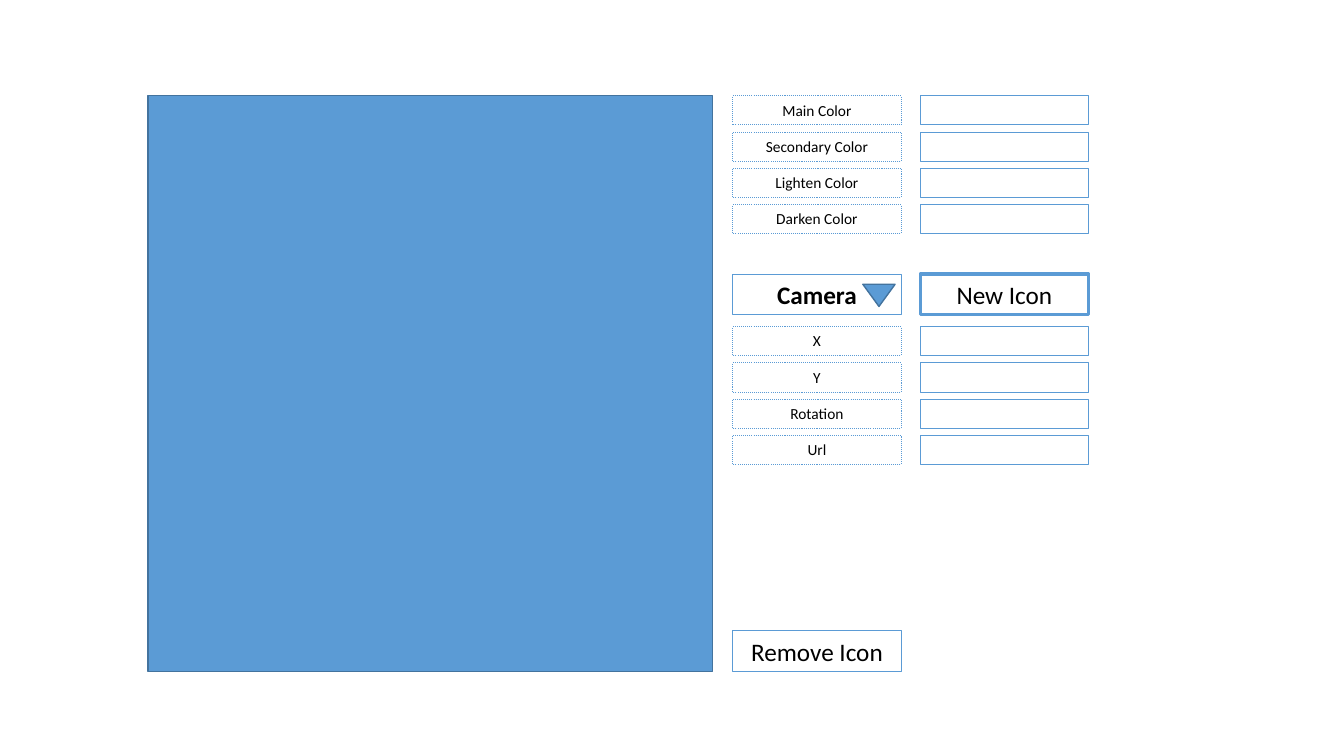
from dataclasses import dataclass

from pptx import Presentation
from pptx.dml.color import RGBColor
from pptx.enum.dml import MSO_LINE
from pptx.enum.shapes import MSO_SHAPE
from pptx.enum.text import MSO_ANCHOR, MSO_AUTO_SIZE, PP_ALIGN
from pptx.shapes.autoshape import Shape
from pptx.slide import Slide
from pptx.util import Pt


@dataclass(frozen=True)
class Theme:
    blue: RGBColor = RGBColor(0x5B, 0x9B, 0xD5)
    edge: RGBColor = RGBColor(0x43, 0x73, 0x9E)
    ink: RGBColor = RGBColor(0, 0, 0)
    font: str = "Calibri"
    small: float = 11
    large: float = 18


@dataclass(frozen=True)
class Box:
    left: float
    top: float
    width: float
    height: float
    text: str = ""
    size: float = 11
    bold: bool = False
    line: float = 0.75
    dotted: bool = False


THEME = Theme()
LABEL, FIELD = 523.44, 657.36
WIDE, ROW, STEP, BUTTON = 120.24, 20.88, 25.92, 28.8
TOP, ICON, FORM, LAST = 68.4, 195.84, 233.28, 450.72


def add_solid(slide: Slide, kind: MSO_SHAPE, box: Box) -> Shape:
    shape = slide.shapes.add_shape(
        kind, Pt(box.left), Pt(box.top), Pt(box.width), Pt(box.height)
    )
    shape.shadow.inherit = False
    shape.fill.solid()
    shape.fill.fore_color.rgb = THEME.blue
    shape.line.color.rgb = THEME.edge
    shape.line.width = Pt(box.line)
    return shape


def add_box(slide: Slide, box: Box) -> None:
    shape = add_solid(slide, MSO_SHAPE.RECTANGLE, box)
    shape.fill.background()
    shape.line.color.rgb = THEME.blue
    if box.dotted:
        shape.line.dash_style = MSO_LINE.ROUND_DOT
    if not box.text:
        return
    frame = shape.text_frame
    frame.text = box.text
    frame.word_wrap = True
    frame.auto_size = MSO_AUTO_SIZE.SHAPE_TO_FIT_TEXT
    frame.vertical_anchor = MSO_ANCHOR.TOP
    para = frame.paragraphs[0]
    para.alignment = PP_ALIGN.CENTER
    font = para.runs[0].font
    font.name = THEME.font
    font.size = Pt(box.size)
    font.bold = box.bold
    font.color.rgb = THEME.ink


def add_rows(slide: Slide, top: float, names: list[str]) -> None:
    for index, name in enumerate(names):
        y = top + index * STEP
        add_box(slide, Box(LABEL, y, WIDE, ROW, name, THEME.small, dotted=True))
        add_box(slide, Box(FIELD, y, WIDE, ROW))


def add_button(
    slide: Slide, left: float, top: float, text: str,
    bold: bool = False, line: float = 0.75,
) -> None:
    add_box(slide, Box(left, top, WIDE, BUTTON, text, THEME.large, bold, line))


deck = Presentation()
deck.slide_width, deck.slide_height = Pt(960), Pt(540)
slide = deck.slides.add_slide(deck.slide_layouts[6])

add_solid(slide, MSO_SHAPE.RECTANGLE, Box(105.84, TOP, 403.2, 411.12, line=1))
add_button(slide, LABEL, LAST, "Remove Icon")
add_rows(
    slide, TOP,
    ["Main Color", "Secondary Color", "Lighten Color", "Darken Color"],
)
add_button(slide, FIELD, ICON, "New Icon", line=2.5)
add_button(slide, LABEL, ICON, "Camera", bold=True)
arrow = add_solid(
    slide, MSO_SHAPE.ISOSCELES_TRIANGLE, Box(616.32, 203.04, 23.04, 15.84, line=1)
)
arrow.rotation = 180
add_rows(slide, FORM, ["X", "Y", "Rotation", "Url"])

deck.save("out.pptx")
